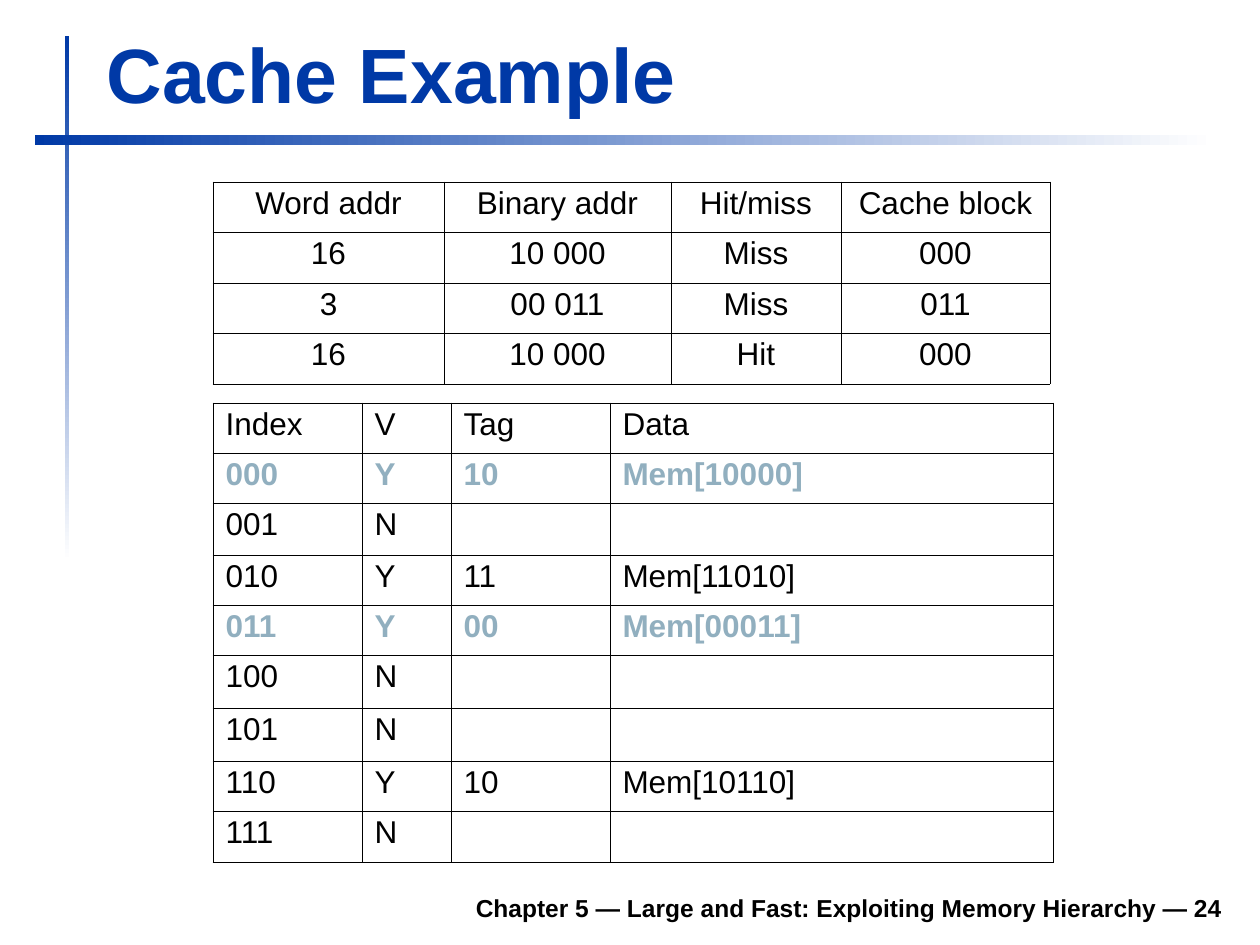
"""Build the cache example slide with its access and contents tables."""
from lxml import etree
from pptx import Presentation
from pptx import util as u
from pptx.dml.color import RGBColor
from pptx.enum import shapes, text
from pptx.oxml.ns import qn

TITLE = "Cache Example"
FOOTER = "Chapter 5 — Large and Fast: Exploiting Memory Hierarchy — 24"
ACCESSES = [
    ("Word addr", "Binary addr", "Hit/miss", "Cache block"),
    ("16", "10 000", "Miss", "000"),
    ("3", "00 011", "Miss", "011"),
    ("16", "10 000", "Hit", "000"),
]
CONTENTS = [
    ("Index", "V", "Tag", "Data"),
    ("000", "Y", "10", "Mem[10000]"),
    ("001", "N", "", ""),
    ("010", "Y", "11", "Mem[11010]"),
    ("011", "Y", "00", "Mem[00011]"),
    ("100", "N", "", ""),
    ("101", "N", "", ""),
    ("110", "Y", "10", "Mem[10110]"),
    ("111", "N", "", ""),
]
HIGHLIGHTED = {"000", "011"}

TABLES = [
    {"rows": CONTENTS, "left": 213, "top": 403,
     "widths": [149, 89, 159, 443],
     "heights": [50, 50, 52, 50, 50, 53, 53, 50, 52],
     "align": text.PP_ALIGN.LEFT, "highlighted": HIGHLIGHTED},
    {"rows": ACCESSES, "left": 213, "top": 182,
     "widths": [231, 227, 170, 209],
     "heights": [50, 51, 50, 51],
     "align": text.PP_ALIGN.CENTER, "highlighted": set()},
]
BARS = [((65, 36, 4, 525), 270), ((35, 135, 1180, 10), 0)]


class Theme:
    """Colours, type sizes and line widths."""
    blue, white = "0039A6", "FFFFFF"
    black, highlight = "000000", "91AFBF"
    font = "Arial"
    title, body, footer = 44, 18, 14
    outer, inner = 0.5, 0.25


def px(value):
    return u.Emu(round(value * 914400 / 126))


def apply(target, values):
    for name, value in values.items():
        setattr(target, name, value)


def place(shape, box):
    apply(shape, dict(zip(("left", "top", "width", "height"), map(px, box))))


def write(frame, words, size, color, bold=False, paragraph_format=None):
    paragraph = frame.paragraphs[0]
    apply(paragraph, paragraph_format or {})
    if words:
        run = paragraph.add_run()
        run.text = words
        apply(run.font, {"name": Theme.font, "size": u.Pt(size), "bold": bold})
        run.font.color.rgb = RGBColor.from_string(color)


def add_bar(slide, box, angle):
    bar = slide.shapes.add_shape(shapes.MSO_SHAPE.RECTANGLE, *map(px, box))
    bar.shadow.inherit = False
    bar.line.fill.background()
    bar.fill.gradient()
    bar.fill.gradient_angle = angle
    for stop, color in zip(bar.fill.gradient_stops, (Theme.blue, Theme.white)):
        stop.color.rgb = RGBColor.from_string(color)


def set_borders(cell, outer_sides):
    properties = cell._tc.get_or_add_tcPr()
    for side in "LRTB":
        width = Theme.outer if side in outer_sides else Theme.inner
        line = etree.SubElement(properties, qn(f"a:ln{side}"), w=str(u.Pt(width)))
        fill = etree.SubElement(line, qn("a:solidFill"))
        etree.SubElement(fill, qn("a:srgbClr"), val=Theme.black)


def add_grid(slide, rows, left, top, widths, heights, align, highlighted):
    box = (left, top, sum(widths), sum(heights))
    table = slide.shapes.add_table(len(rows), len(widths), *map(px, box)).table
    apply(table, {"first_row": False, "horz_banding": False})
    for column, width in zip(table.columns, widths):
        column.width = px(width)
    for row, height in zip(table.rows, heights):
        row.height = px(height)
    for i, values in enumerate(rows):
        bold = values[0] in highlighted
        color = Theme.highlight if bold else Theme.black
        for j, value in enumerate(values):
            cell = table.cell(i, j)
            edges = {"L": j == 0, "R": j == len(widths) - 1,
                     "T": i == 0, "B": i == len(rows) - 1}
            set_borders(cell, {side for side, outer in edges.items() if outer})
            cell.fill.background()
            write(cell.text_frame, value, Theme.body, color, bold,
                  {"alignment": align, "line_spacing": 0.93})


def main():
    presentation = Presentation()
    apply(presentation, {"slide_width": px(1260), "slide_height": px(945)})
    slide = presentation.slides.add_slide(presentation.slide_layouts[5])

    for box, angle in BARS:
        add_bar(slide, box, angle)

    title = slide.shapes.title
    footer = slide.shapes.add_textbox(0, 0, 0, 0)
    frame_format = {"word_wrap": True, "auto_size": text.MSO_AUTO_SIZE.NONE,
                    "vertical_anchor": text.MSO_ANCHOR.BOTTOM}
    for shape, box, words, size, color, align in (
        (title, (94, 20, 1138, 105), TITLE, Theme.title, Theme.blue, text.PP_ALIGN.LEFT),
        (footer, (233, 880, 1002, 49), FOOTER, Theme.footer, Theme.black, text.PP_ALIGN.RIGHT),
    ):
        place(shape, box)
        apply(shape.text_frame, frame_format)
        write(shape.text_frame, words, size, color, True, {"alignment": align})

    for grid in TABLES:
        add_grid(slide, **grid)
    presentation.save("out.pptx")


if __name__ == "__main__":
    main()
